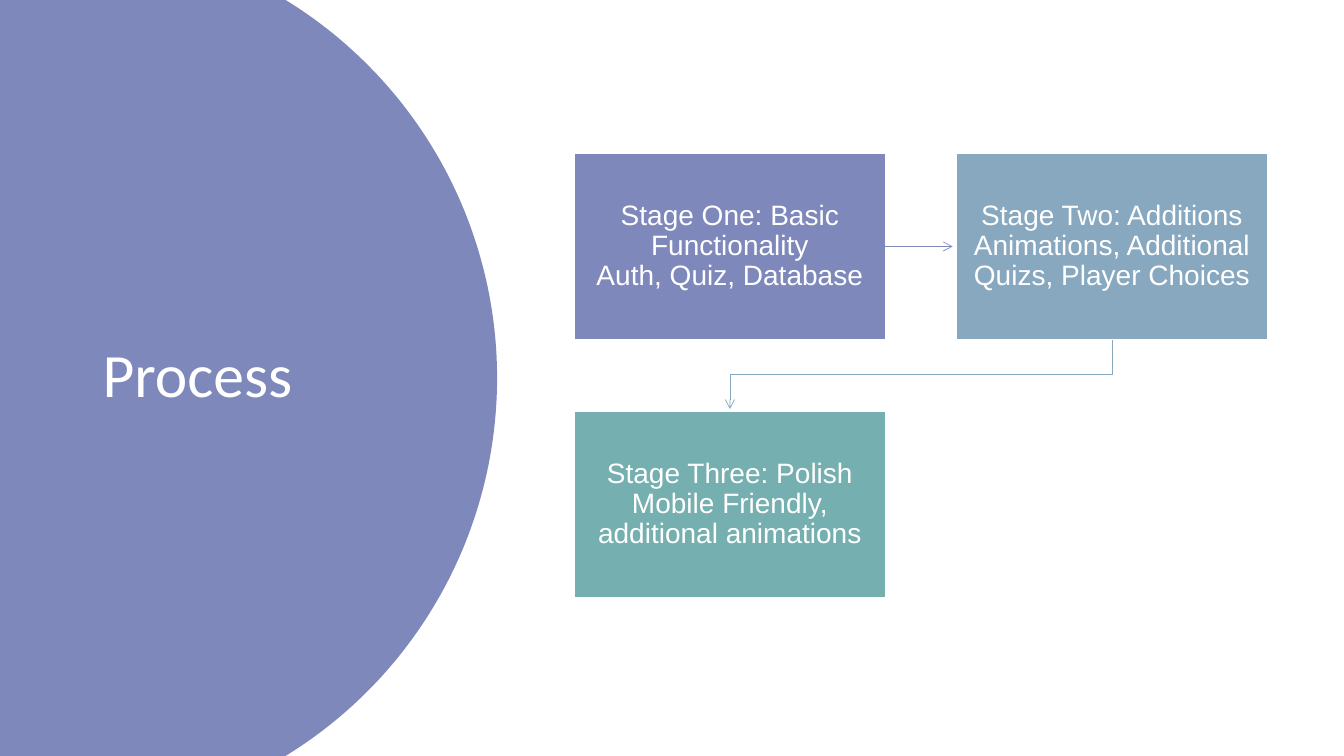
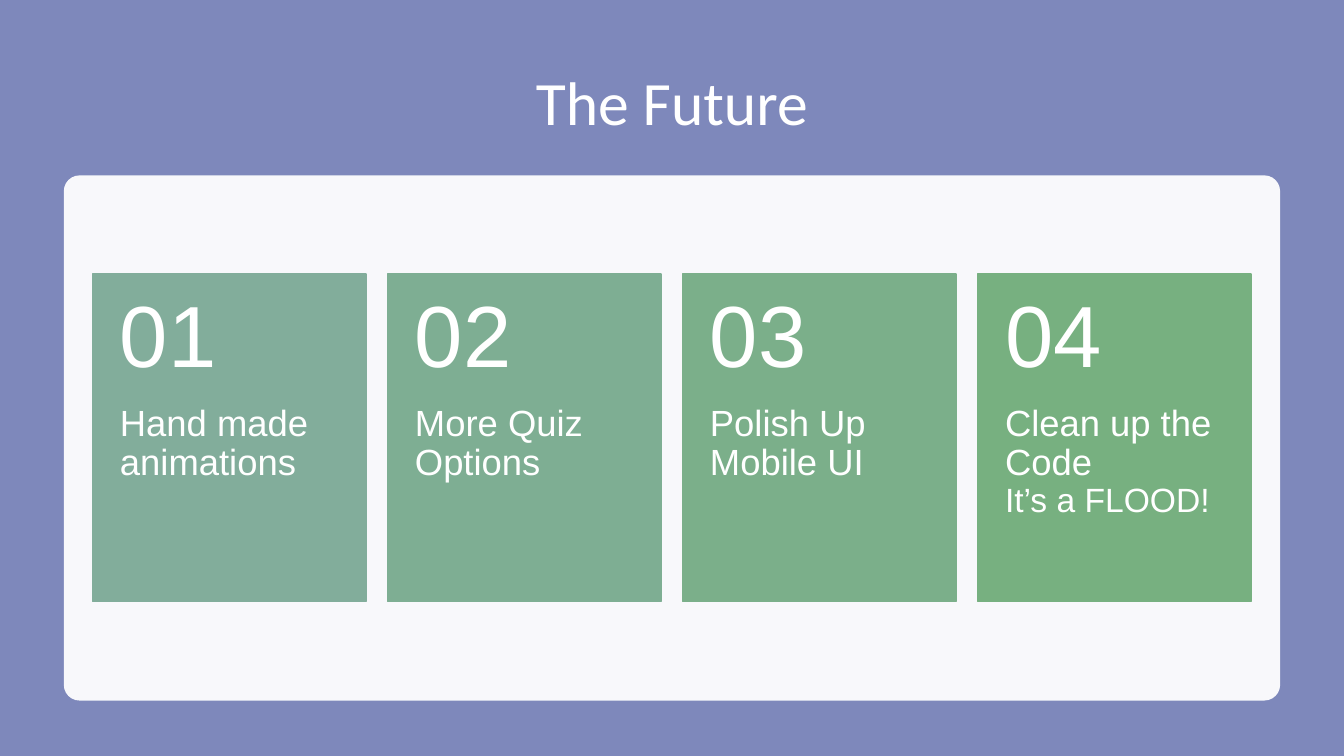
import math

from lxml import etree
from pptx import Presentation, util as u
from pptx.dml.color import RGBColor
from pptx.enum import shapes, text
from pptx.oxml.ns import qn

COLORS = {
    "white": "FFFFFF", "violet": "7E88BB", "blue": "87A8BF", "teal": "76AFAF",
    "sage": "82AD9B", "mint": "7EAE93", "fern": "7BAF8A", "leaf": "77B080",
}
HEADING, BODY = "Calibri", "Arial"
RECT = shapes.MSO_SHAPE.RECTANGLE
ROUNDED = shapes.MSO_SHAPE.ROUNDED_RECTANGLE
LEFT, CENTER = text.PP_ALIGN.LEFT, text.PP_ALIGN.CENTER
TOP, MIDDLE = text.MSO_ANCHOR.TOP, text.MSO_ANCHOR.MIDDLE


def rgb(name):
    return RGBColor.from_string(COLORS[name])


class Sketch:
    """Draws on the current slide; all lengths are percent of the slide's width or height."""

    def __init__(self):
        self.deck = Presentation()
        self.deck.slide_width, self.deck.slide_height = u.Inches(13.33), u.Inches(7.5)
        self.page = None

    def x(self, share):
        return round(self.deck.slide_width * share / 100)

    def y(self, share):
        return round(self.deck.slide_height * share / 100)

    def frame(self, left, top, width, height):
        return self.x(left), self.y(top), self.x(width), self.y(height)

    def new_page(self, background):
        self.page = self.deck.slides.add_slide(self.deck.slide_layouts[6])
        fill = self.page.background.fill
        fill.solid()
        fill.fore_color.rgb = rgb(background)

    def paint(self, shape, fill, outline=None):
        shape.shadow.inherit = False
        shape.fill.solid()
        shape.fill.fore_color.rgb = rgb(fill)
        if outline:
            shape.line.color.rgb = rgb(outline)
            shape.line.width = u.Pt(1)
        else:
            shape.line.fill.background()
        return shape

    def block(self, place, fill, outline=None, kind=RECT):
        shape = self.page.shapes.add_shape(kind, *self.frame(*place))
        return self.paint(shape, fill, outline)

    def panel(self, place, fill, corner, opacity):
        shape = self.block(place, fill, kind=ROUNDED)
        shape.adjustments[0] = corner
        color = shape._element.spPr.find(".//" + qn("a:srgbClr"))
        etree.SubElement(color, qn("a:alpha")).set("val", str(opacity * 1000))

    def disc(self, center, radius, fill):
        """Draw a disc that the left, top and bottom edges of the slide cut off."""
        across = radius * self.deck.slide_height / self.deck.slide_width
        limit = math.asin(50 / radius)
        angles = [limit * step / 60 for step in range(-60, 61)]
        arc = [(self.x(center + across * math.cos(a)), self.y(50 + radius * math.sin(a)))
               for a in angles]
        builder = self.page.shapes.build_freeform(0, 0)
        builder.add_line_segments(arc + [(0, self.y(100))], close=True)
        self.paint(builder.convert_to_shape(), fill)

    def put_text(self, shape, words, sizes, font=BODY, align=LEFT, anchor=MIDDLE,
                 insets=(0.1, 0.05, 0.1, 0.05)):
        """Fill a shape with one paragraph; sizes holds one size for each line, insets are inches."""
        frame = shape.text_frame
        frame.word_wrap = True
        frame.vertical_anchor = anchor
        (frame.margin_left, frame.margin_top,
         frame.margin_right, frame.margin_bottom) = map(u.Inches, insets)
        para = frame.paragraphs[0]
        para.text = words
        para.alignment = align
        para.line_spacing = 0.9
        for span, size in zip(para.runs, sizes):
            span.font.name = font
            span.font.size = u.Pt(size)
            span.font.color.rgb = rgb("white")

    def label(self, place, words, sizes, **style):
        box = self.page.shapes.add_textbox(*self.frame(*place))
        self.put_text(box, words, sizes, **style)

    def title(self, place, words, align=LEFT):
        self.label(place, words, [44], font=HEADING, align=align)

    def arrow(self, start, end, color, elbow=False):
        """Draw an arrow; an elbow leaves and arrives vertically, down and to the left."""
        x1, y1, x2, y2 = self.x(start[0]), self.y(start[1]), self.x(end[0]), self.y(end[1])
        kind = shapes.MSO_CONNECTOR.STRAIGHT
        if elbow:
            kind = shapes.MSO_CONNECTOR.ELBOW
            mid_x, mid_y = (x1 + x2) // 2, (y1 + y2) // 2
            half_x, half_y = (x1 - x2) // 2, (y2 - y1) // 2
            x1, y1, x2, y2 = mid_x - half_y, mid_y - half_x, mid_x + half_y, mid_y + half_x
        line = self.page.shapes.add_connector(kind, x1, y1, x2, y2)
        line.line.color.rgb = rgb(color)
        line.line.width = u.Pt(0.5)
        properties = line._element.spPr
        if elbow:
            properties.find(qn("a:xfrm")).set("rot", str(90 * 60000))
        outline = properties.find(qn("a:ln"))
        etree.SubElement(outline, qn("a:tailEnd")).set("type", "arrow")
        etree.SubElement(properties, qn("a:effectLst"))
        return line


def process_page(sketch):
    sketch.new_page("white")
    sketch.disc(3.98, 58.67, "violet")
    sketch.title((6.9, 9.33, 24.25, 81.2), "Process")

    left, top, width, height = 42.75, 20.27, 23.12, 24.67
    step_x, step_y = 28.43, 34.13
    stages = [
        (0, 0, "violet", "Stage One: Basic Functionality\vAuth, Quiz, Database"),
        (1, 0, "blue", "Stage Two: Additions\vAnimations, Additional Quizs, Player Choices"),
        (0, 1, "teal", "Stage Three: Polish\vMobile Friendly, additional animations"),
    ]
    boxes = []
    for column, row, color, words in stages:
        place = (left + column * step_x, top + row * step_y, width, height)
        box = sketch.block(place, color, "white")
        sketch.put_text(box, words, [20, 20], align=CENTER, insets=(0.15, 0.16, 0.15, 0.16))
        boxes.append(box)

    gap = 0.3
    middle = top + height / 2
    across = sketch.arrow((left + width, middle), (left + step_x - gap, middle), "violet")
    across.begin_connect(boxes[0], 3)
    center = left + width / 2
    sketch.arrow((center + step_x, top + height), (center, top + step_y - gap),
                 "blue", elbow=True)


def future_page(sketch):
    sketch.new_page("violet")
    sketch.title((6.9, 6.67, 86.2, 14.67), "The Future", CENTER)
    sketch.panel((4.75, 23.2, 90.5, 69.47), "white", 0.03, 95)

    left, top, width, height = 6.9, 36.27, 20.34, 43.33
    step = 21.95
    head = height * 0.4
    cards = [
        ("sage", "Hand made animations"),
        ("mint", "More Quiz Options"),
        ("fern", "Polish Up Mobile UI"),
        ("leaf", "Clean up the Code\vIt’s a FLOOD!"),
    ]
    for index, (color, words) in enumerate(cards):
        x = left + index * step
        sketch.block((x, top, width, height), color, color)
        sketch.label((x, top + head, width, height - head), words, [26, 24],
                     anchor=TOP, insets=(0.27, 0, 0.27, 0.36))
        sketch.label((x, top, width, head), f"{index + 1:02}", [62],
                     insets=(0.27, 0.18, 0.27, 0.18))


def main():
    sketch = Sketch()
    process_page(sketch)
    future_page(sketch)
    sketch.deck.save("out.pptx")


if __name__ == "__main__":
    main()
